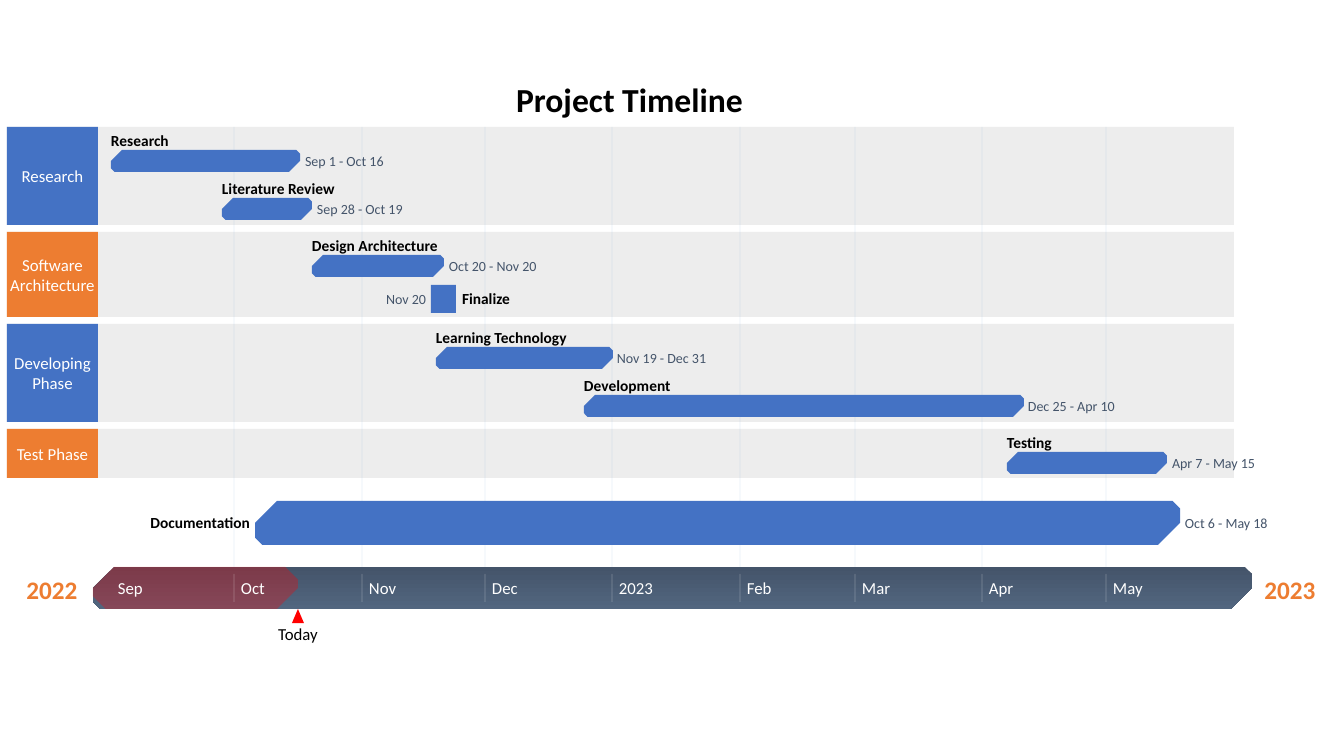
import itertools
import lxml.etree
import pptx
import pptx.dml.color
import pptx.enum.shapes
import pptx.enum.text
import pptx.oxml.ns
import pptx.util

TITLE = "Project Timeline"
YEARS = [("2022", 52), ("2023", 1290)]
MONTHS = [("Sep", 30), ("Oct", 31), ("Nov", 30), ("Dec", 31), ("2023", 31),
          ("Feb", 28), ("Mar", 31), ("Apr", 30), ("May", 31)]
PHASES = [
    ("Research", 98, [("Research", "Sep 1 - Oct 16"),
                      ("Literature Review", "Sep 28 - Oct 19")]),
    ("Software Architecture", 85, [("Design Architecture", "Oct 20 - Nov 20")]),
    ("Developing Phase", 98, [("Learning Technology", "Nov 19 - Dec 31"),
                              ("Development", "Dec 25 - Apr 10")]),
    ("Test Phase", 49, [("Testing", "Apr 7 - May 15")]),
]
GOAL = ("Finalize", "Nov 20")
PAPERS = ("Documentation", "Oct 6 - May 18")

THEME = {
    "font": "Calibri", "blue": "4472C4", "orange": "ED7D31", "band": "A5A5A5",
    "slate": "44546A", "steel": "52667F", "grid": "5B9BD5", "red": "FF0000",
    "white": "FFFFFF", "black": "000000",
    "title": 24, "year": 18, "label": 12, "name": 11, "date": 10, "line": 0.65,
}

# Layout in pixels
SCALE = 914400 / 100.8
LEFT, TOP, BAND, HEAD, GAP = 7, 127, 1227, 91, 7
FIRST, DAY = 111, 4.11
BAR, DROP, STEP, PAD = 22, 23, 48, 5
AXIS = (93, 567, 1159, 42)
TODAY = 298

KINDS = pptx.enum.shapes.MSO_SHAPE
ALIGN = pptx.enum.text.PP_ALIGN
STARTS = dict(zip([month for month, days in MONTHS],
                  itertools.accumulate([days for month, days in MONTHS], initial=0)))


def emu(pixels):
    """Turn pixels into EMU."""
    return pptx.util.Emu(round(round(pixels) * SCALE))


def tone(key):
    """Look up a theme colour."""
    return pptx.dml.color.RGBColor.from_string(THEME[key])


def fade(shape, share):
    """Make every colour of a shape see-through, keeping share percent."""
    qn = pptx.oxml.ns.qn
    for node in list(shape._element.spPr.iter(qn("a:srgbClr"))):
        lxml.etree.SubElement(node, qn("a:alpha")).set("val", str(share * 1000))


def write(shape, text, size, color, align=ALIGN.CENTER, bold=False):
    """Set middle-anchored text without margins."""
    frame = shape.text_frame
    frame.word_wrap = True
    frame.vertical_anchor = pptx.enum.text.MSO_ANCHOR.MIDDLE
    frame.margin_left = frame.margin_right = frame.margin_top = frame.margin_bottom = 0
    line = frame.paragraphs[0]
    line.text, line.alignment = text, align
    font = line.font
    font.name, font.size, font.bold = THEME["font"], pptx.util.Pt(THEME[size]), bold
    font.color.rgb = tone(color)


def label(box, *style, **more):
    """Add a text box at a pixel box."""
    write(slide.shapes.add_textbox(*map(emu, box)), *style, **more)


def block(kind, box, color, snips=()):
    """Add a filled shape without outline or shadow."""
    shape = slide.shapes.add_shape(kind, *map(emu, box))
    shape.shadow.inherit = False
    shape.fill.solid()
    shape.fill.fore_color.rgb = tone(color)
    shape.line.fill.background()
    for spot, snip in enumerate(snips):
        shape.adjustments[spot] = snip
    return shape


def snipped(box, color, small=0.167):
    """Add a bar with two large and two small cut corners."""
    return block(KINDS.SNIP_2_DIAG_RECTANGLE, box, color, (0.5, small))


def rule(x, top, end, color, share):
    """Add a faint upright line."""
    line = slide.shapes.add_connector(pptx.enum.shapes.MSO_CONNECTOR.STRAIGHT,
                                      emu(x), emu(top), emu(x), emu(end))
    line.line.color.rgb = tone(color)
    line.line.width = pptx.util.Pt(THEME["line"])
    fade(line, share)
    lxml.etree.SubElement(line._element.spPr, pptx.oxml.ns.qn("a:effectLst"))


def place(date, past=0):
    """Find the x of a date's start, or of its end when past is 1."""
    month, day = date.split()
    return FIRST + DAY * (STARTS[month] + int(day) - 1 + past)


def name(text, x, mid, align=ALIGN.LEFT):
    """Add a task name whose near edge is at x."""
    wide = 8 * len(text)
    left = x - wide if align == ALIGN.RIGHT else x
    label((left, mid - 10, wide, 19), text, "name", "black", align=align, bold=True)


def date(text, x, mid, align=ALIGN.LEFT):
    """Add a date note whose near edge is at x."""
    wide = 7 * len(text)
    left = x - wide if align == ALIGN.RIGHT else x
    label((left, mid - 9, wide, 17), text, "date", "slate", align=align)


def span(dates, top, high):
    """Draw a dated bar and return its left edge."""
    start, end = dates.split(" - ")
    left, right = place(start), place(end, 1)
    snipped((left, top, right - left, high), "blue")
    date(dates, right + PAD, top + high / 2)
    return left


deck = pptx.Presentation()
deck.slide_width, deck.slide_height = emu(1344), emu(756)
slide = deck.slides.add_slide(deck.slide_layouts[6])

label((369, 74, 521, 50), TITLE, "title", "black", bold=True)

tops = [TOP]
for phase, high, tasks in PHASES:
    tops.append(tops[-1] + high + GAP)
for (phase, high, tasks), top, color in zip(PHASES, tops, itertools.cycle(("blue", "orange"))):
    fade(block(KINDS.RECTANGLE, (LEFT, top, BAND, high), "band"), 20)
    write(block(KINDS.RECTANGLE, (LEFT, top, HEAD, high), color), phase, "label", "white")

left, top, wide, high = AXIS
base, mid = top + high, top + high / 2
axis = snipped(AXIS, "slate")
axis.fill.gradient()
axis.fill.gradient_angle = 270
for stop, color in zip(axis.fill.gradient_stops, ("slate", "steel")):
    stop.color.rgb = tone(color)
fade(snipped((left, top, TODAY - left, high), "red", 0.3), 30)

for spot, (month, days) in enumerate(MONTHS):
    x = place(month + " 1")
    if spot:
        rule(x, TOP, top, "grid", 15)
        rule(x, top + GAP, base - GAP, "white", 30)
    label((x + GAP, mid - 10, 40, 20), month, "label", "white", align=ALIGN.LEFT)
for year, x in YEARS:
    label((x - 32, mid - 14, 64, 31), year, "year", "orange", bold=True)

block(KINDS.ISOSCELES_TRIANGLE, (TODAY - 6, base, 12, 14), "red")
label((TODAY - 24, base + 15, 48, 20), "Today", "label", "black")

for (phase, high, tasks), top in zip(PHASES, tops):
    for row, (task, dates) in enumerate(tasks):
        y = top + DROP + row * STEP
        name(task, span(dates, y, BAR), y - 9)

task, day = GOAL
x, mid = place(day, 1), 299
block(KINDS.RECTANGLE, (x - 13, mid - 14, 25, 28), "blue")
date(day, x - 13 - PAD, mid, ALIGN.RIGHT)
name(task, x + 13 + PAD, mid)

task, dates = PAPERS
name(task, span(dates, 501, 44) - PAD, 523, ALIGN.RIGHT)

deck.save("out.pptx")
